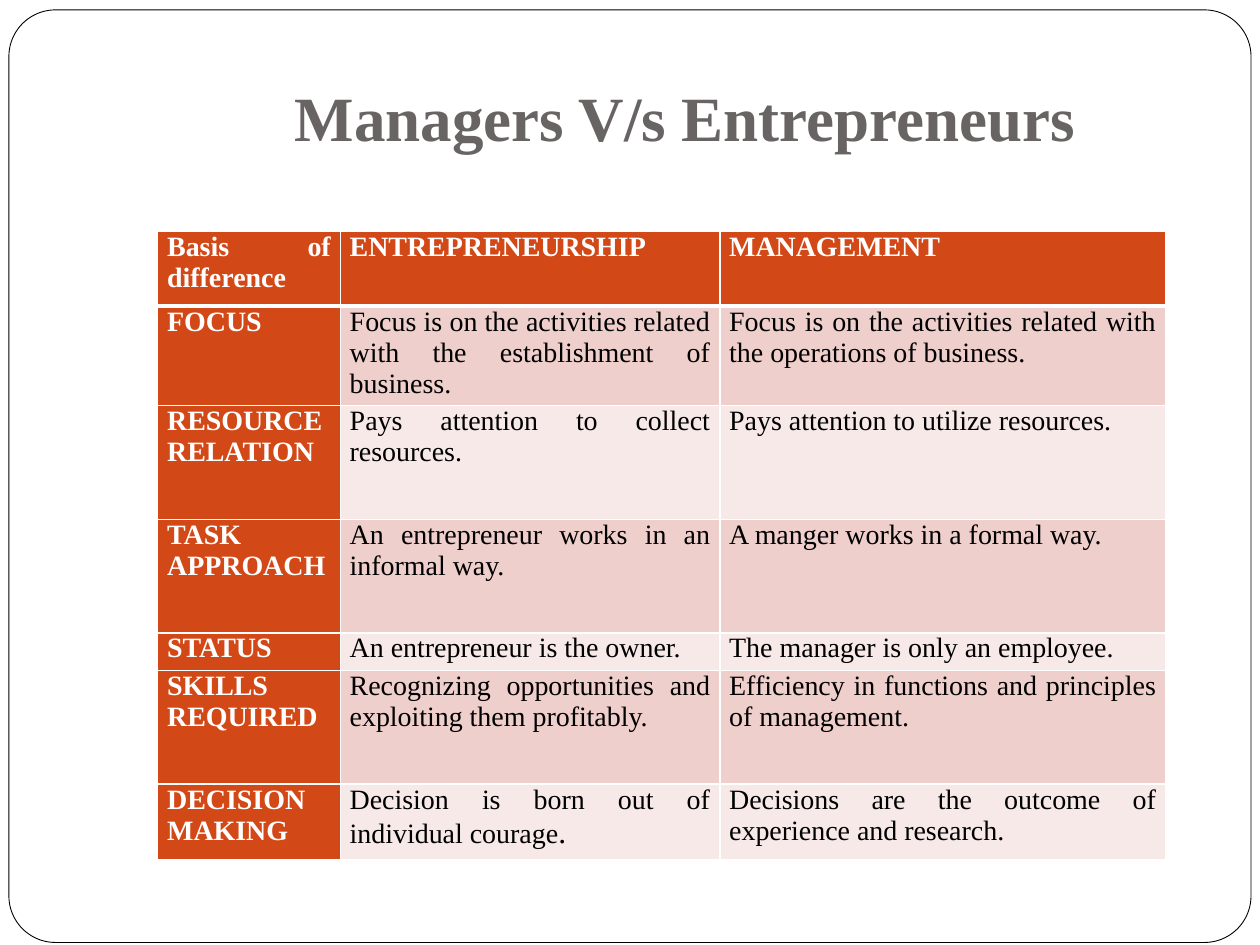
"""Build a slide that compares managers with entrepreneurs in a table."""
import pptx
import pptx.dml.color
import pptx.enum.shapes
import pptx.enum.text
import pptx.oxml
import pptx.oxml.ns
import pptx.util
from pptx.util import Cm

WHITE = pptx.dml.color.RGBColor(0xFF, 0xFF, 0xFF)
BLACK = pptx.dml.color.RGBColor(0x00, 0x00, 0x00)
GREY = pptx.dml.color.RGBColor(0x69, 0x64, 0x64)
ORANGE = pptx.dml.color.RGBColor(0xD3, 0x48, 0x17)
BANDS = [
    pptx.dml.color.RGBColor(0xF7, 0xE9, 0xE8),
    pptx.dml.color.RGBColor(0xEF, 0xCF, 0xCC),
]
ROWS = [
    ("Basis of difference", "ENTREPRENEURSHIP", "MANAGEMENT"),
    ("FOCUS",
     "Focus is on the activities related with the establishment of business.",
     "Focus is on the activities related with the operations of business."),
    ("RESOURCE RELATION", "Pays attention to collect resources.",
     "Pays attention to utilize resources."),
    ("TASK APPROACH", "An entrepreneur works in an informal way.",
     "A manger works in a formal way."),
    ("STATUS", "An entrepreneur is the owner.",
     "The manager is only an employee."),
    ("SKILLS REQUIRED",
     "Recognizing opportunities and exploiting them profitably.",
     "Efficiency in functions and principles of management."),
    ("DECISION MAKING", "Decision is born out of individual courage",
     "Decisions are the outcome of experience and research."),
]
COL_WIDTHS = [3.68, 7.65, 8.99]
ROW_HEIGHTS = [1.5, 2.01, 2.29, 2.29, 0.76, 2.29, 1.52]


def format_run(r, size, color, bold):
    r.font.name = "Times New Roman"
    r.font.size = pptx.util.Pt(size)
    r.font.color.rgb = color
    r.font.bold = bold


def add_border(cell, side, points):
    cell._tc.get_or_add_tcPr().append(pptx.oxml.parse_xml(
        f'<a:ln{side} {pptx.oxml.ns.nsdecls("a")} w="{pptx.util.Pt(points)}">'
        f'<a:solidFill><a:srgbClr val="{WHITE}"/></a:solidFill></a:ln{side}>'))


prs = pptx.Presentation()
prs.slide_width, prs.slide_height = Cm(25.4), Cm(19.05)
s = prs.slides.add_slide(prs.slide_layouts[5])

frame = s.shapes.add_shape(
    pptx.enum.shapes.MSO_SHAPE.ROUNDED_RECTANGLE,
    Cm(0.18), Cm(0.2), Cm(25.04), Cm(18.8))
frame.adjustments[0] = 0.05
frame.shadow.inherit = False
frame.fill.solid()
frame.fill.fore_color.rgb = WHITE
frame.line.color.rgb = BLACK
frame.line.width = pptx.util.Pt(0.5)

title = s.shapes.title
frame._element.addnext(title._element)
title.left, title.top = Cm(2.54), Cm(0.76)
title.width, title.height = Cm(21.59), Cm(3.18)
tf = title.text_frame
tf.text = "Managers V/s Entrepreneurs"
tf.vertical_anchor = pptx.enum.text.MSO_ANCHOR.MIDDLE
tf.margin_left = Cm(3.4)
p = tf.paragraphs[0]
p.alignment = pptx.enum.text.PP_ALIGN.LEFT
format_run(p.runs[0], 36, GREY, True)

table = s.shapes.add_table(
    len(ROWS), len(COL_WIDTHS), Cm(3.18), Cm(4.67),
    Cm(sum(COL_WIDTHS)), Cm(sum(ROW_HEIGHTS))).table
table.first_row = True
table.first_col = True
for column, width in zip(table.columns, COL_WIDTHS):
    column.width = Cm(width)
for row, height in zip(table.rows, ROW_HEIGHTS):
    row.height = Cm(height)

for i, texts in enumerate(ROWS):
    for j, text in enumerate(texts):
        cell = table.cell(i, j)
        heading = i == 0 or j == 0
        add_border(cell, "L", 1)
        add_border(cell, "R", 1)
        add_border(cell, "T", 3 if i == 1 else 1)
        add_border(cell, "B", 3 if i == 0 else 1)
        cell.fill.solid()
        cell.fill.fore_color.rgb = ORANGE if heading else BANDS[i % 2]
        cell.margin_left = cell.margin_right = Cm(0.19)
        cell.margin_top = cell.margin_bottom = 0
        cell.text_frame.text = text
        p = cell.text_frame.paragraphs[0]
        p.alignment = pptx.enum.text.PP_ALIGN.JUSTIFY
        format_run(p.runs[0], 16, WHITE if heading else BLACK, heading)

r = table.cell(6, 1).text_frame.paragraphs[0].add_run()
r.text = "."
format_run(r, 18, BLACK, False)

prs.save("out.pptx")
